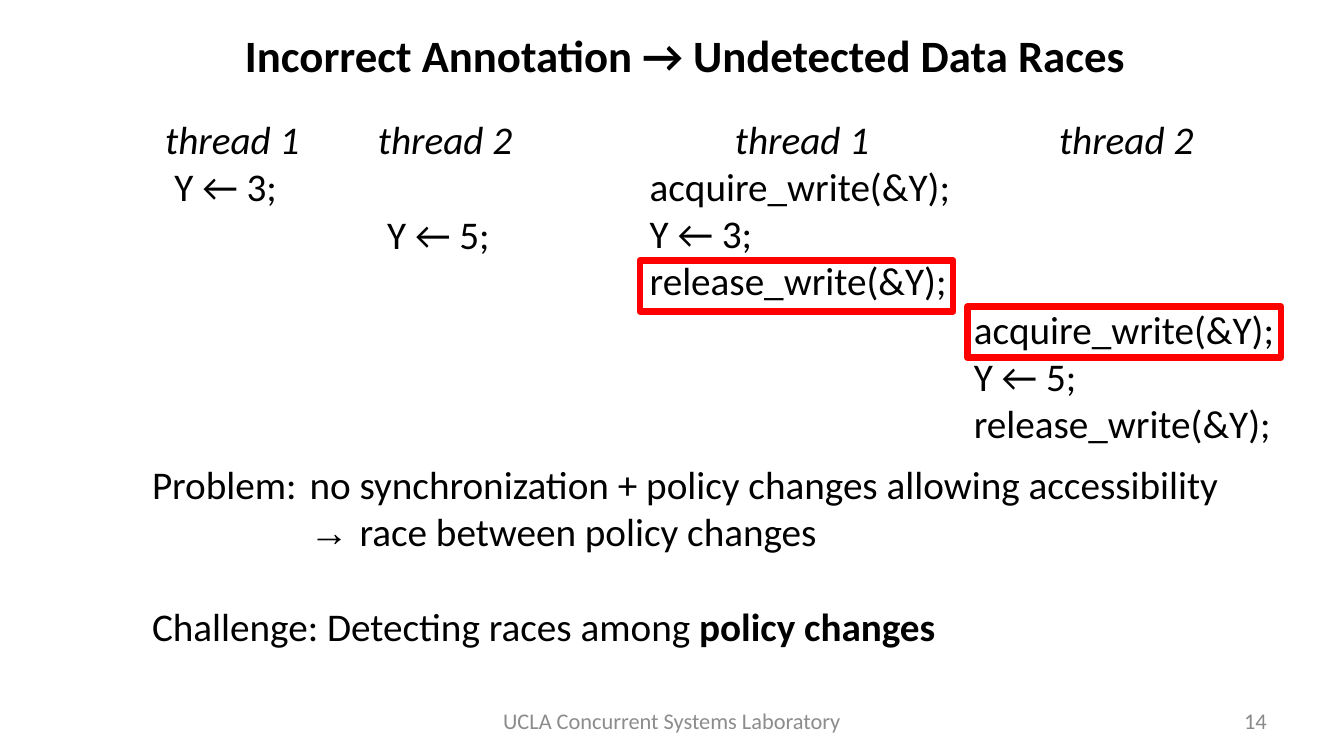
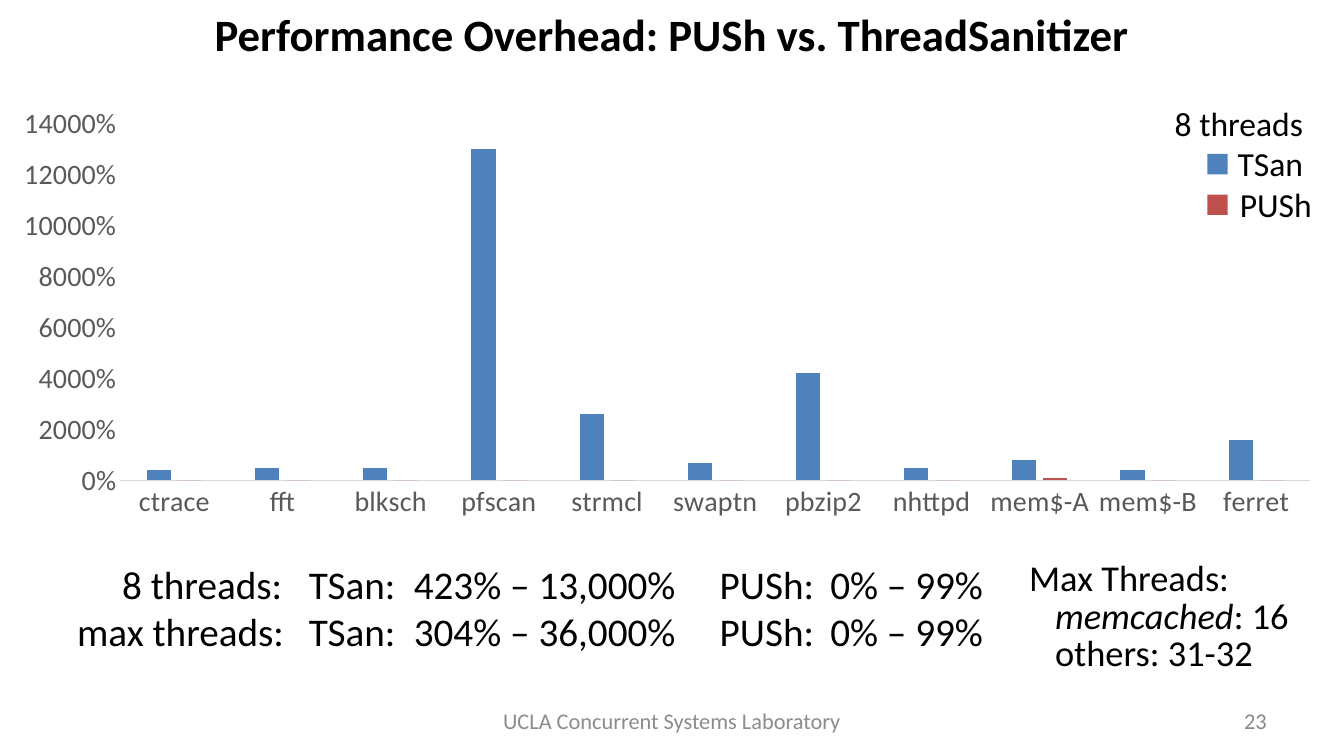
from dataclasses import dataclass
from typing import NamedTuple

from lxml.etree import SubElement
from pptx import Presentation
from pptx.chart.data import CategoryChartData
from pptx.dml.color import RGBColor
from pptx.enum.chart import XL_CHART_TYPE, XL_TICK_MARK
from pptx.enum.shapes import MSO_SHAPE
from pptx.enum.text import MSO_ANCHOR, PP_ALIGN
from pptx.oxml.ns import qn
from pptx.util import Pt

FONT = "Calibri"
BLACK = "000000"
FOOTER_GREY = "8C8C8C"
NUMBER_GREY = "898989"
AXIS_TEXT = "595959"
AXIS_LINE = "D9D9D9"
RED = "FF0000"
TSAN_BLUE = "4F81BD"
PUSH_RED = "C0504D"
LINE_HEIGHT = 34


class Box(NamedTuple):
    left: float
    top: float
    width: float
    height: float


class Tab(NamedTuple):
    position: float
    align: str = "l"


@dataclass(frozen=True)
class Piece:
    text: str
    bold: bool = False
    italic: bool = False
    font: str = FONT


@dataclass(frozen=True)
class Line:
    pieces: tuple[Piece, ...]
    align: PP_ALIGN = PP_ALIGN.LEFT
    before: float = 0
    indent: float = 0
    spacing: float | None = None
    tabs: tuple[Tab, ...] = ()


@dataclass(frozen=True)
class ThreadColumn:
    name: str
    box: Box
    statements: tuple[str, ...]
    skipped_steps: int = 0
    indent: float = 0


@dataclass(frozen=True)
class Series:
    name: str
    color: str
    values: tuple[int, ...]


TITLE_BOX_RACES = Box(156, 14, 667, 50)
TITLE_BOX_OVERHEAD = Box(137, 0, 686, 48)
FOOTER_BOX = Box(328, 500.5, 304, 29)
NUMBER_BOX = Box(688, 500.5, 224, 29)

THREAD_COLUMNS = (
    ThreadColumn("thread 1", Box(73.5, 79, 185, 78), ("Y ← 3;",), 0, 44),
    ThreadColumn("thread 2", Box(225.5, 79, 185, 100), ("Y ← 5;",), 1, 44),
    ThreadColumn("thread 1", Box(457, 79, 232, 148),
                 ("acquire_write(&Y);", "Y ← 3;", "release_write(&Y);")),
    ThreadColumn("thread 2", Box(688.5, 79, 232, 240),
                 ("acquire_write(&Y);", "Y ← 5;", "release_write(&Y);"), 3),
)
HIGHLIGHTS = (Box(457, 186, 224, 36.5), Box(691, 219, 224, 36.5))

BENCHMARKS = ("ctrace", "fft", "blksch", "pfscan", "strmcl", "swaptn",
              "pbzip2", "nhttpd", "mem$-A", "mem$-B", "ferret")
OVERHEADS = (
    Series("TSan", TSAN_BLUE, (4, 5, 5, 130, 26, 7, 42, 5, 8, 4, 16)),
    Series("PUSh", PUSH_RED, (0, 0, 0, 0, 0, 0, 0, 0, 1, 0, 0)),
)
SUMMARY_TABS = (Tab(146.5, "r"), Tab(165.5), Tab(240.5), Tab(459), Tab(538))
SUMMARY_ROWS = (
    "\t8 threads:\tTSan:\t423% – 13,000%\tPUSh:\t0% – 99%",
    "\tmax threads:\tTSan:\t304% – 36,000%\tPUSh:\t0% – 99%",
)


def rgb(color: str) -> RGBColor:
    return RGBColor.from_string(color)


def place(box: Box) -> tuple:
    return tuple(Pt(length) for length in box)


def plain(text: str, **options) -> Line:
    return Line((Piece(text),), **options)


def add_tabs(paragraph, tabs: tuple[Tab, ...]) -> None:
    tab_list = SubElement(paragraph._p.get_or_add_pPr(), qn("a:tabLst"))
    for tab in tabs:
        SubElement(tab_list, qn("a:tab"), pos=str(Pt(tab.position)), algn=tab.align)


def add_text(slide, box: Box, lines: list[Line], size: float,
             color: str = BLACK, anchor: MSO_ANCHOR = MSO_ANCHOR.TOP) -> None:
    text_frame = slide.shapes.add_textbox(*place(box)).text_frame
    text_frame.word_wrap = True
    text_frame.vertical_anchor = anchor
    for index, line in enumerate(lines):
        paragraph = text_frame.paragraphs[0] if index == 0 else text_frame.add_paragraph()
        paragraph.alignment = line.align
        if line.before:
            paragraph.space_before = Pt(line.before)
        if line.spacing:
            paragraph.line_spacing = Pt(line.spacing)
        if line.indent:
            paragraph._p.get_or_add_pPr().set("marL", str(Pt(line.indent)))
        if line.tabs:
            add_tabs(paragraph, line.tabs)
        for piece in line.pieces:
            run = paragraph.add_run()
            run.text = piece.text
            run.font.name = piece.font
            run.font.size = Pt(size)
            run.font.bold = piece.bold
            run.font.italic = piece.italic
            run.font.color.rgb = rgb(color)


def add_rectangle(slide, box: Box, fill: str | None = None,
                  outline: str | None = None) -> None:
    shape = slide.shapes.add_shape(MSO_SHAPE.RECTANGLE, *place(box))
    shape.shadow.inherit = False
    if fill:
        shape.fill.solid()
        shape.fill.fore_color.rgb = rgb(fill)
    else:
        shape.fill.background()
    if outline:
        shape.line.color.rgb = rgb(outline)
        shape.line.width = Pt(4.5)
    else:
        shape.line.fill.background()


def add_base_slide(presentation, title: str, title_box: Box, number: int):
    slide = presentation.slides.add_slide(presentation.slide_layouts[6])
    heading = Line((Piece(title, bold=True),), PP_ALIGN.CENTER)
    add_text(slide, title_box, [heading], 32, anchor=MSO_ANCHOR.MIDDLE)
    footer = plain("UCLA Concurrent Systems Laboratory", align=PP_ALIGN.CENTER)
    add_text(slide, FOOTER_BOX, [footer], 16, FOOTER_GREY, MSO_ANCHOR.MIDDLE)
    page = plain(str(number), align=PP_ALIGN.RIGHT)
    add_text(slide, NUMBER_BOX, [page], 16, NUMBER_GREY, MSO_ANCHOR.MIDDLE)
    return slide


def add_thread_column(slide, column: ThreadColumn) -> None:
    lines = [Line((Piece(column.name, italic=True),), PP_ALIGN.CENTER)]
    for index, statement in enumerate(column.statements):
        gap = column.skipped_steps * LINE_HEIGHT if index == 0 else 0
        lines.append(plain(statement, before=gap, indent=column.indent))
    add_text(slide, column.box, lines, 28)


def set_plot_area(chart, left: float, top: float, width: float, height: float) -> None:
    plot_area = chart._chartSpace.chart.plotArea
    for layout in plot_area.findall(qn("c:layout")):
        plot_area.remove(layout)
    layout = plot_area.makeelement(qn("c:layout"))
    plot_area.insert(0, layout)
    manual = SubElement(layout, qn("c:manualLayout"))
    settings = (("layoutTarget", "inner"), ("xMode", "edge"), ("yMode", "edge"),
                ("x", left), ("y", top), ("w", width), ("h", height))
    for name, value in settings:
        SubElement(manual, qn(f"c:{name}"), val=str(value))


def add_overhead_chart(slide, box: Box) -> None:
    chart_data = CategoryChartData(number_format="0%")
    chart_data.categories = BENCHMARKS
    for series in OVERHEADS:
        chart_data.add_series(series.name, series.values)
    chart = slide.shapes.add_chart(
        XL_CHART_TYPE.COLUMN_CLUSTERED, *place(box), chart_data).chart
    chart.has_legend = False
    chart.has_title = False
    chart.font.name = FONT
    chart.font.size = Pt(20)
    chart.font.color.rgb = rgb(AXIS_TEXT)
    set_plot_area(chart, 0.09, 0.06, 0.89, 0.83)

    plot = chart.plots[0]
    plot.gap_width = 219
    plot.overlap = -27
    plot.vary_by_categories = False
    for drawn, series in zip(plot.series, OVERHEADS):
        drawn.format.fill.solid()
        drawn.format.fill.fore_color.rgb = rgb(series.color)

    for axis in (chart.category_axis, chart.value_axis):
        axis.major_tick_mark = XL_TICK_MARK.NONE
        axis.minor_tick_mark = XL_TICK_MARK.NONE
        axis.has_major_gridlines = False
    category_line = chart.category_axis.format.line
    category_line.color.rgb = rgb(AXIS_LINE)
    category_line.width = Pt(0.75)
    value_axis = chart.value_axis
    value_axis.format.line.fill.background()
    value_axis.minimum_scale = 0
    value_axis.maximum_scale = 140
    value_axis.major_unit = 20
    value_axis.tick_labels.number_format = "0%"
    value_axis.tick_labels.number_format_is_linked = False


def add_legend(slide) -> None:
    add_text(slide, Box(832, 70, 126, 36), [plain("8 threads")], 24)
    for index, series in enumerate(OVERHEADS):
        offset = index * 29
        add_rectangle(slide, Box(862.5, 110 + offset, 14.5, 14.5), fill=series.color)
        label_box = Box(877 + index * 1.5, 98.5 + offset, 70, 36)
        add_text(slide, label_box, [plain(series.name)], 24)


def build_races_slide(presentation) -> None:
    slide = add_base_slide(
        presentation, "Incorrect Annotation → Undetected Data Races", TITLE_BOX_RACES, 14)
    tab = 112.5
    add_text(slide, Box(101.5, 325.5, 810, 143), [
        plain("Problem:\tno synchronization + policy changes allowing accessibility",
              tabs=(Tab(tab),)),
        Line((Piece("→ ", font="Arial"), Piece("race between policy changes")), indent=tab),
        Line((Piece("Challenge: Detecting races among "),
              Piece("policy changes", bold=True)), before=LINE_HEIGHT),
    ], 28)
    for column in THREAD_COLUMNS:
        add_thread_column(slide, column)
    for box in HIGHLIGHTS:
        add_rectangle(slide, box, outline=RED)


def build_overhead_slide(presentation) -> None:
    slide = add_base_slide(
        presentation, "Performance Overhead: PUSh vs. ThreadSanitizer", TITLE_BOX_OVERHEAD, 23)
    add_overhead_chart(slide, Box(0, 70, 955, 307))
    add_legend(slide)
    add_text(slide, Box(48, 397, 732, 75),
             [plain(row, tabs=SUMMARY_TABS) for row in SUMMARY_ROWS], 28)
    add_text(slide, Box(728, 397, 203, 89), [
        plain("Max Threads:", spacing=27),
        Line((Piece("memcached", italic=True), Piece(": 16")), indent=18.5, spacing=27),
        plain("others: 31-32", indent=18.5, spacing=27),
    ], 26)


def main() -> None:
    presentation = Presentation()
    presentation.slide_width = Pt(960)
    presentation.slide_height = Pt(540)
    build_races_slide(presentation)
    build_overhead_slide(presentation)
    presentation.save("out.pptx")


if __name__ == "__main__":
    main()
